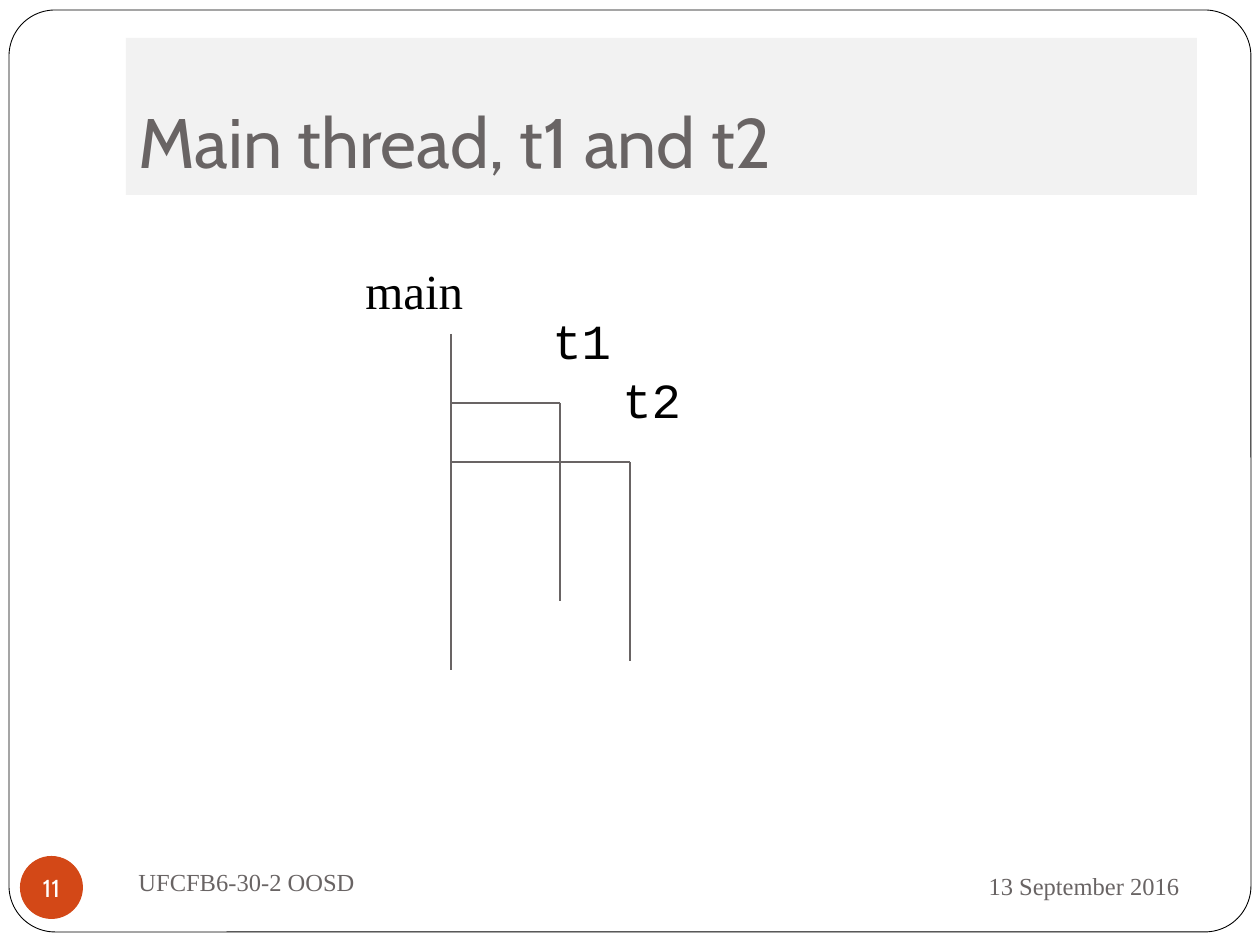
from pptx import Presentation
from pptx import util as u
from pptx.dml.color import RGBColor
from pptx.enum import shapes, text
from lxml import etree

PX = u.Inches(1) / 126
GREY = "696464"
SERIF = "Times New Roman"
MONO = "Courier New"
A = text.MSO_ANCHOR
P = text.PP_ALIGN
S = shapes.MSO_SHAPE


def px(*nums):
    return [u.Emu(round(n * PX)) for n in nums]


def hue(code):
    return RGBColor.from_string(code)


deck = Presentation()
deck.slide_width, deck.slide_height = px(1260, 945)
slide = deck.slides.add_slide(deck.slide_layouts[6])
items = slide.shapes

frame = items.add_shape(S.ROUNDED_RECTANGLE, *px(9, 10, 1242, 922))
frame.adjustments[0] = 0.05
title = items.add_shape(S.RECTANGLE, *px(126, 38, 1071, 157))
badge = items.add_shape(S.OVAL, *px(20, 856, 63, 63))
for shape, fill in [(frame, "FFFFFF"), (title, "F2F2F2"), (badge, "D34817")]:
    shape.shadow.inherit = False
    shape.fill.solid()
    shape.fill.fore_color.rgb = hue(fill)
    shape.line.fill.background()
frame.line.color.rgb = hue("000000")
frame.line.width = u.Pt(0.5)

lines = [
    (451, 334, 451, 670),
    (451, 403, 560, 403),
    (560, 403, 560, 601),
    (451, 462, 630, 462),
    (630, 462, 630, 661),
]
for ends in lines:
    line = items.add_connector(shapes.MSO_CONNECTOR.STRAIGHT, *px(*ends))
    line.line.color.rgb = hue(GREY)
    line.line.width = u.Pt(0.75)
    etree.SubElement(
        line._element.spPr,
        "{http://schemas.openxmlformats.org/drawingml/2006/main}effectLst")

main, one, two, date, foot = [
    items.add_textbox(*px(*box)) for box in [
        (353, 254, 169, 72),
        (540, 304, 110, 72),
        (610, 363, 110, 72),
        (850, 853, 342, 66),
        (126, 850, 546, 63),
    ]
]
labels = [
    (title, "Main thread, t1 and t2", 40, "Cabin", GREY, A.BOTTOM, P.LEFT),
    (main, "main", 28, SERIF, "000000", A.TOP, P.LEFT),
    (one, "t1", 28, MONO, "000000", A.TOP, P.LEFT),
    (two, "t2", 28, MONO, "000000", A.TOP, P.LEFT),
    (date, "13 September 2016", 14, SERIF, GREY, A.MIDDLE, P.RIGHT),
    (foot, "UFCFB6-30-2 OOSD", 14, SERIF, GREY, A.MIDDLE, P.LEFT),
    (badge, "11", 14, "Cabin", "FFFFFF", A.MIDDLE, P.CENTER),
]
for shape, words, size, face, ink, anchor, align in labels:
    body = shape.text_frame
    body.text = words
    body.word_wrap = shape is not badge
    body.vertical_anchor = anchor
    para = body.paragraphs[0]
    para.alignment = align
    font = para.runs[0].font
    font.size = u.Pt(size)
    font.name = face
    font.color.rgb = hue(ink)

title.text_frame.margin_bottom = u.Inches(0.1)
inner = badge.text_frame
inner.margin_left = inner.margin_right = 0
inner.margin_top = inner.margin_bottom = 0

deck.save("out.pptx")
